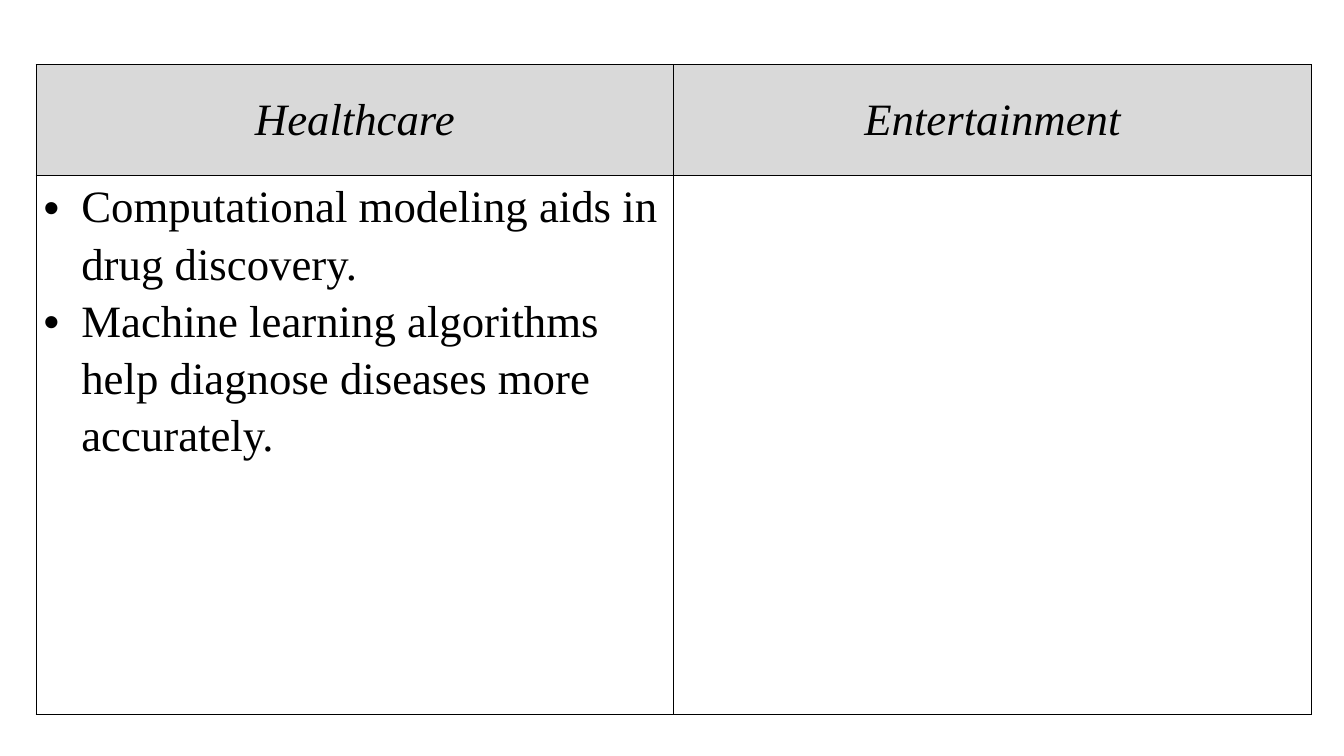
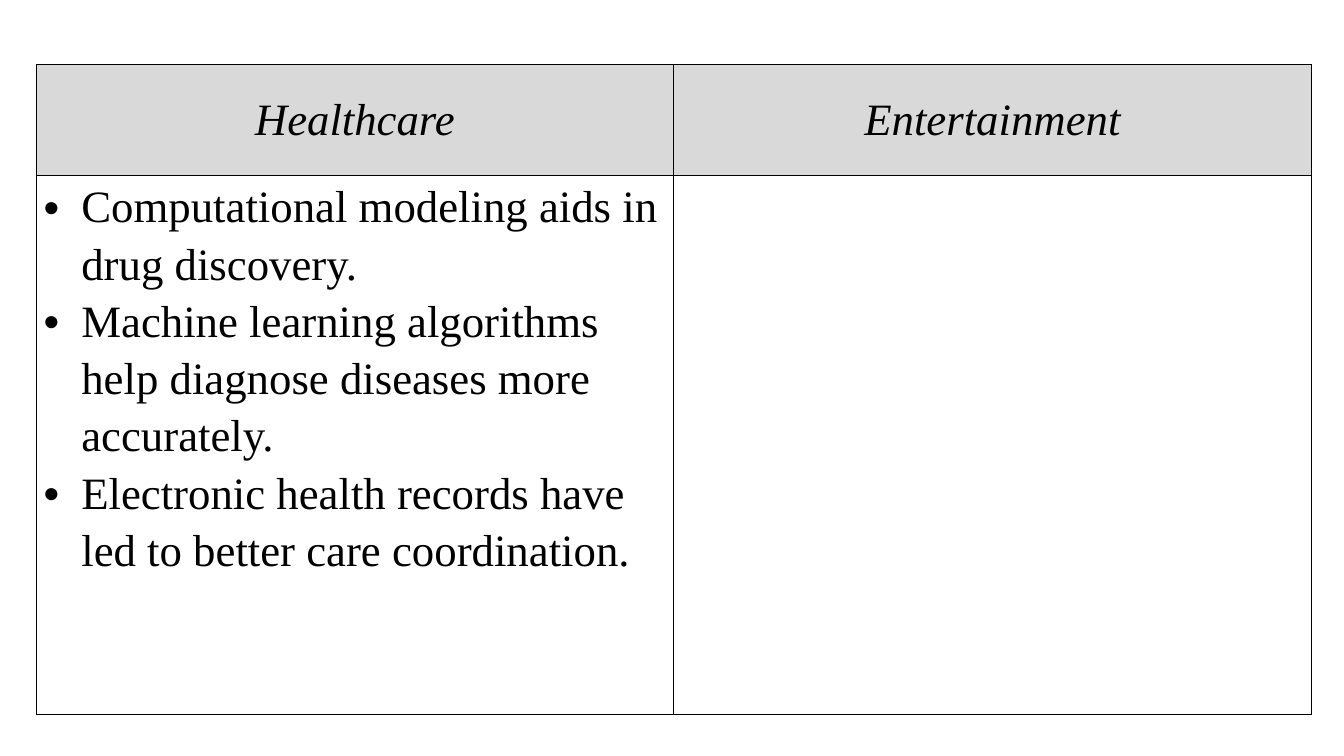
from dataclasses import dataclass

from lxml.etree import SubElement
from pptx import Presentation
from pptx.dml.color import RGBColor as RGB
from pptx.enum.text import MSO_ANCHOR as Anchor, PP_ALIGN as Align
from pptx.oxml.ns import qn
from pptx.util import Cm, Pt


@dataclass(frozen=True)
class Theme:
    font: str = "Times New Roman"
    text_size: int = 32
    border_width: int = 1
    text: str = "000000"
    border: str = "000000"
    header: str = "D9D9D9"
    body: str = "FFFFFF"


THEME = Theme()
HEADINGS = ["Healthcare", "Entertainment"]
HEALTHCARE_POINTS = [
    "Computational modeling aids in drug discovery.",
    "Machine learning algorithms help diagnose diseases more accurately.",
    "Electronic health records have led to better care coordination.",
]
POINTS_SHOWN = [2, 3]  # healthcare points on each slide

COLUMN_WIDTH = Cm(16.07)
ROW_HEIGHTS = [Cm(2.79), Cm(13.59)]
BULLET_INDENT = Cm(0.95)
CELL_FORMAT = {
    "margin_left": Cm(0.19), "margin_right": Cm(0.19),
    "margin_top": 0, "margin_bottom": 0,
}
FONT_FORMAT = {"name": THEME.font, "size": Pt(THEME.text_size), "bold": False}


def format_cell(cell, fill, anchor):
    """Set the margins, the four borders and the fill of a table cell."""
    for name, value in {**CELL_FORMAT, "vertical_anchor": anchor}.items():
        setattr(cell, name, value)
    properties = cell._tc.get_or_add_tcPr()
    for side in ("lnL", "lnR", "lnT", "lnB"):
        border = SubElement(properties, qn(f"a:{side}"), w=str(Pt(THEME.border_width)))
        border_fill = SubElement(border, qn("a:solidFill"))
        SubElement(border_fill, qn("a:srgbClr"), val=THEME.border)
    cell.fill.solid()
    cell.fill.fore_color.rgb = RGB.from_string(fill)


def write(paragraph, text, italic=False):
    run = paragraph.add_run()
    run.text = text
    for name, value in {**FONT_FORMAT, "italic": italic}.items():
        setattr(run.font, name, value)
    run.font.color.rgb = RGB.from_string(THEME.text)


prs = Presentation()
prs.slide_width, prs.slide_height = Cm(33.87), Cm(19.05)
blank_layout = prs.slide_layouts[6]

for point_count in POINTS_SHOWN:
    slide = prs.slides.add_slide(blank_layout)
    fields = slide.shapes.add_table(
        len(ROW_HEIGHTS), len(HEADINGS), Cm(0.91), Cm(1.63),
        COLUMN_WIDTH * len(HEADINGS), sum(ROW_HEIGHTS),
    ).table
    fields.first_row = fields.horz_banding = False
    for row, height in zip(fields.rows, ROW_HEIGHTS):
        row.height = height

    for column, heading in enumerate(HEADINGS):
        fields.columns[column].width = COLUMN_WIDTH
        heading_cell = fields.cell(0, column)
        format_cell(heading_cell, THEME.header, Anchor.MIDDLE)
        heading_line = heading_cell.text_frame.paragraphs[0]
        heading_line.alignment = Align.CENTER
        write(heading_line, heading, italic=True)
        format_cell(fields.cell(1, column), THEME.body, Anchor.TOP)

    healthcare = fields.cell(1, 0).text_frame
    for index, point in enumerate(HEALTHCARE_POINTS[:point_count]):
        bullet_line = healthcare.add_paragraph() if index else healthcare.paragraphs[0]
        bullet_line.line_spacing = 1.15
        bullet = bullet_line._p.get_or_add_pPr()
        bullet.set("marL", str(BULLET_INDENT))
        bullet.set("indent", str(-BULLET_INDENT))
        SubElement(bullet, qn("a:buFont"), typeface="Arial")
        SubElement(bullet, qn("a:buChar"), char="•")
        write(bullet_line, point)

prs.save("out.pptx")
